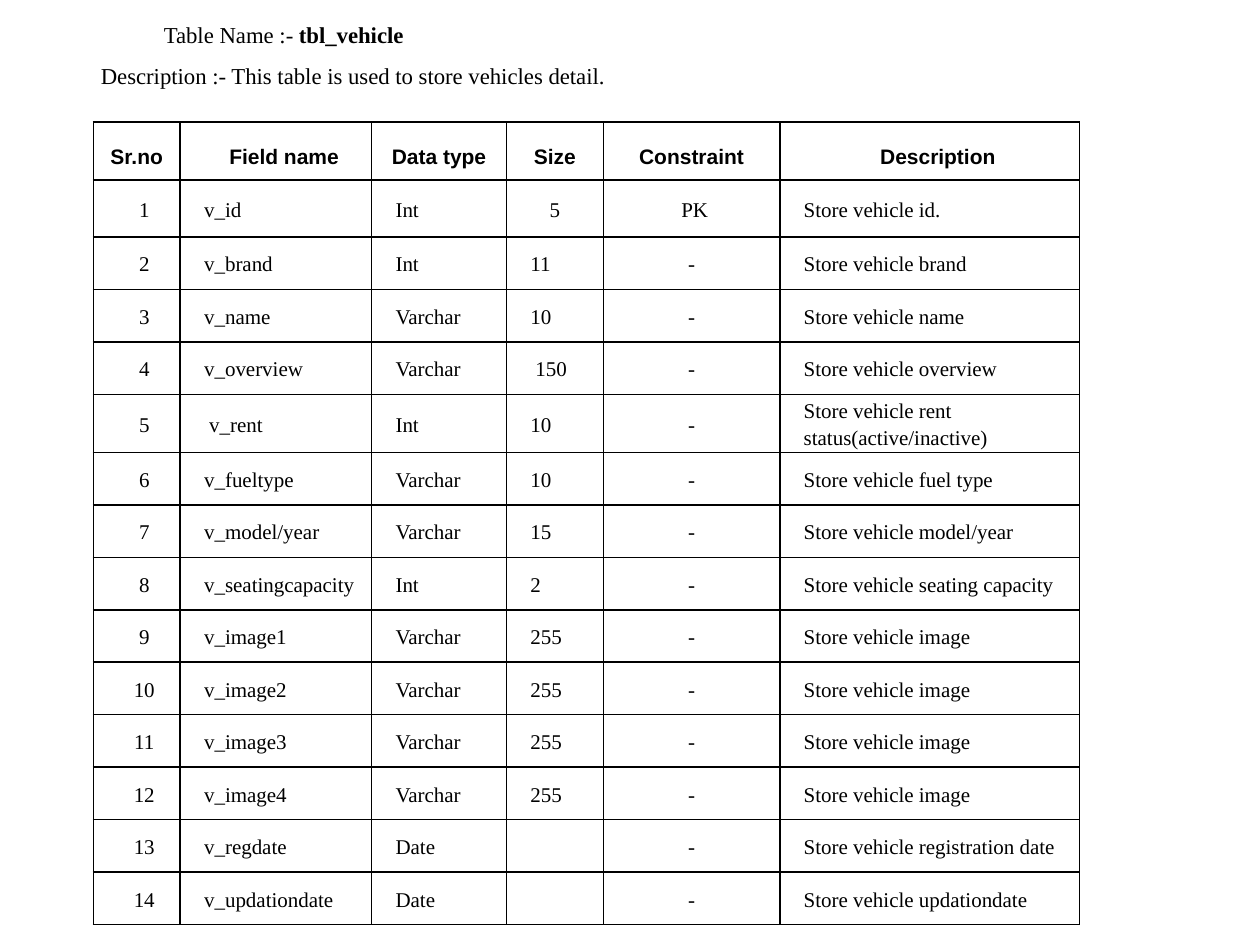
from lxml import etree
from pptx import Presentation
from pptx.dml.color import RGBColor
from pptx.enum import text
from pptx.oxml import ns
from pptx.util import Inches, Pt

# Content
TABLE_NAME = [("\tTable Name :- ", False), ("tbl_vehicle", True)]
DESCRIPTION = [("\tDescription :- This table is used to store vehicles detail.", False)]
HEADER = ["Sr.no", "Field name", "Data type", "Size", "Constraint", "Description"]
FIELDS = [
    ("v_id", "Int", "5", "PK", "id."),
    ("v_brand", "Int", "11", "-", "brand"),
    ("v_name", "Varchar", "10", "-", "name"),
    ("v_overview", "Varchar", "150", "-", "overview"),
    ("v_rent", "Int", "10", "-", "rent status(active/inactive)"),
    ("v_fueltype", "Varchar", "10", "-", "fuel type"),
    ("v_model/year", "Varchar", "15", "-", "model/year"),
    ("v_seatingcapacity", "Int", "2", "-", "seating capacity"),
    ("v_image1", "Varchar", "255", "-", "image"),
    ("v_image2", "Varchar", "255", "-", "image"),
    ("v_image3", "Varchar", "255", "-", "image"),
    ("v_image4", "Varchar", "255", "-", "image"),
    ("v_regdate", "Date", "", "-", "registration date"),
    ("v_updationdate", "Date", "", "-", "updationdate"),
]
ROWS = [HEADER] + [
    [str(number), *values, f"Store vehicle {detail}"]
    for number, (*values, detail) in enumerate(FIELDS, 1)
]

THEME = {
    "ink": RGBColor(0, 0, 0), "border": "000000", "border_width": Pt(1),
    "body_font": "Times New Roman", "header_font": "Arial",
    "title_size": Pt(13), "cell_size": Pt(12),
}

# Layout: column widths, row heights, then alignment and indent per column
LEFT, CENTER = text.PP_ALIGN.LEFT, text.PP_ALIGN.CENTER
COLUMN_WIDTHS = [0.69, 1.52, 1.07, 0.77, 1.4, 2.38]
ROW_HEIGHTS = [0.46, 0.45] + [5 / 12] * (len(FIELDS) - 1)
HEADER_FORMAT = [(CENTER, 0.13 if c in (1, 5) else 0) for c in range(len(HEADER))]
BODY_FORMAT = [(CENTER, 0.12), (LEFT, 0.12), (LEFT, 0.12),
               (LEFT, 0.12), (CENTER, 0), (LEFT, 0.12)]
SPECIAL_FORMAT = {(1, 3): (CENTER, 0.06), (1, 4): (CENTER, 0.05),
                  (4, 3): (LEFT, 0.16), (5, 1): (LEFT, 0.16)}


def set_font(p, name, size, bold=False):
    p.font.name, p.font.size, p.font.bold = name, size, bold
    p.font.color.rgb = THEME["ink"]


def set_indent(p, margin, first=0):
    p_pr = p._p.get_or_add_pPr()
    p_pr.set("marL", str(Inches(margin)))
    p_pr.set("indent", str(Inches(first)))
    return p_pr


def add_borders(cell):
    tc_pr = cell._tc.get_or_add_tcPr()
    for index, side in enumerate(("lnL", "lnR", "lnT", "lnB")):
        line = etree.Element(ns.qn(f"a:{side}"), w=str(THEME["border_width"]))
        fill = etree.SubElement(line, ns.qn("a:solidFill"))
        etree.SubElement(fill, ns.qn("a:srgbClr"), val=THEME["border"])
        tc_pr.insert(index, line)


def add_heading(slide):
    title = slide.shapes.title
    title.left, title.top = Inches(0.2), Inches(0.01)
    title.width, title.height = Inches(8.38), Inches(0.81)
    tf = title.text_frame
    tf.word_wrap = True
    tf.auto_size = text.MSO_AUTO_SIZE.SHAPE_TO_FIT_TEXT
    tf.vertical_anchor = text.MSO_ANCHOR.TOP
    lines = [(TABLE_NAME, 1, -1, 1), (DESCRIPTION, 0, 0, 2)]
    for index, (runs, margin, first, stop) in enumerate(lines):
        p = tf.add_paragraph() if index else tf.paragraphs[0]
        p.alignment, p.line_spacing, p.space_before = LEFT, 1.5, Pt(0)
        p_pr = set_indent(p, margin, first)
        tabs = etree.SubElement(p_pr, ns.qn("a:tabLst"))
        etree.SubElement(tabs, ns.qn("a:tab"), pos=str(Inches(stop)), algn="l")
        set_font(p, THEME["body_font"], THEME["title_size"])
        for words, bold in runs:
            r = p.add_run()
            r.text, r.font.bold = words, bold


def fill_cell(cell, words, row, column):
    is_header = row == 0
    formats = HEADER_FORMAT if is_header else BODY_FORMAT
    alignment, margin = SPECIAL_FORMAT.get((row, column), formats[column])
    cell.fill.background()
    add_borders(cell)
    cell.vertical_anchor = text.MSO_ANCHOR.MIDDLE
    cell.margin_left = cell.margin_right = Inches(0.07)
    cell.margin_top = cell.margin_bottom = 0
    cell.text = words
    p = cell.text_frame.paragraphs[0]
    p.alignment = alignment
    p.line_spacing = 1.5 if is_header else 1.15
    p.space_after = Pt(6 if is_header else 10)
    set_indent(p, margin, -0.06 if (row, column) == (1, 3) else 0)
    set_font(p, THEME["header_font" if is_header else "body_font"],
             THEME["cell_size"], is_header)


def add_field_table(slide):
    table = slide.shapes.add_table(
        len(ROWS), len(HEADER), Inches(0.74), Inches(0.97),
        Inches(sum(COLUMN_WIDTHS)), Inches(sum(ROW_HEIGHTS))).table
    table.first_row = table.horz_banding = False
    for column, width in zip(table.columns, COLUMN_WIDTHS):
        column.width = Inches(width)
    for row, height in zip(table.rows, ROW_HEIGHTS):
        row.height = Inches(height)
    for r, values in enumerate(ROWS):
        for c, words in enumerate(values):
            fill_cell(table.cell(r, c), words, r, c)


def main():
    prs = Presentation()
    prs.slide_width, prs.slide_height = Inches(10), Inches(7.5)
    s = prs.slides.add_slide(prs.slide_layouts[5])
    add_heading(s)
    add_field_table(s)
    prs.save("out.pptx")


if __name__ == "__main__":
    main()
